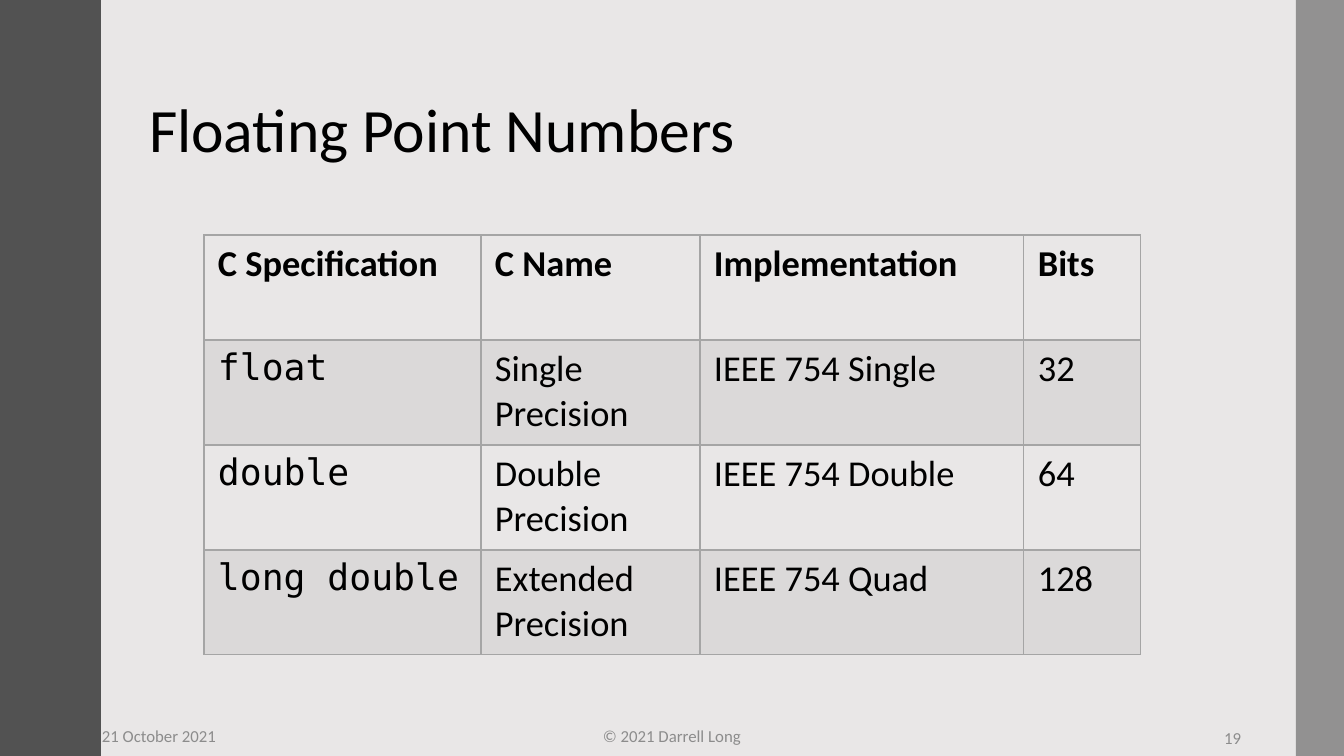
from lxml.etree import SubElement
from pptx import Presentation
from pptx.dml.color import RGBColor
from pptx.enum.shapes import MSO_SHAPE
from pptx.enum.text import MSO_ANCHOR, PP_ALIGN
from pptx.oxml import parse_xml
from pptx.oxml.ns import nsdecls, qn
from pptx.util import Emu, Pt

PAPER = RGBColor(0xE9, 0xE7, 0xE7)
INK = RGBColor(0x00, 0x00, 0x00)
DARK_BAND = RGBColor(0x52, 0x52, 0x52)
LIGHT_BAND = RGBColor(0x59, 0x59, 0x59)
RULE = RGBColor(0xA5, 0xA5, 0xA5)
FOOTER_GREY = RGBColor(0x8C, 0x8C, 0x8C)
BODY_FONT = "Calibri"
CODE_FONT = "DejaVu Sans Mono"

WIDTH, HEIGHT = 1344, 756
EMU_PER_PX = 914400 / 100.8


def px(length):
    return Emu(round(length * EMU_PER_PX))


def paint(fill, holder, color, opacity=100):
    """Fill with a colour; holder is the XML element that contains the fill."""
    fill.solid()
    fill.fore_color.rgb = color
    if opacity < 100:
        srgb = holder.find(qn("a:solidFill")).find(qn("a:srgbClr"))
        SubElement(srgb, qn("a:alpha"), val=str(opacity * 1000))


class LectureSlide:
    def __init__(self, slide):
        self.slide = slide
        slide.background.fill.solid()
        slide.background.fill.fore_color.rgb = PAPER

    def style(self, paragraph, size, color=INK, font=BODY_FONT, bold=False):
        paragraph.font.name = font
        paragraph.font.size = Pt(size)
        paragraph.font.color.rgb = color
        paragraph.font.bold = bold

    def title(self, text, left, top, width, height):
        heading = self.slide.shapes.title
        heading.left, heading.top = px(left), px(top)
        heading.width, heading.height = px(width), px(height)
        frame = heading.text_frame
        frame.text = text
        frame.vertical_anchor = MSO_ANCHOR.MIDDLE
        paragraph = frame.paragraphs[0]
        paragraph.alignment = PP_ALIGN.LEFT
        paragraph.line_spacing = 0.9
        self.style(paragraph, 44)

    def band(self, left, width, color, opacity=100):
        band = self.slide.shapes.add_shape(
            MSO_SHAPE.RECTANGLE, px(left), 0, px(width), px(HEIGHT))
        band.shadow.inherit = False
        band.line.fill.background()
        paint(band.fill, band.element.spPr, color, opacity)

    def footer(self, text, left, top, width, alignment):
        box = self.slide.shapes.add_textbox(px(left), px(top), px(width), px(40))
        frame = box.text_frame
        frame.word_wrap = True
        frame.vertical_anchor = MSO_ANCHOR.MIDDLE
        frame.text = text
        frame.paragraphs[0].alignment = alignment
        self.style(frame.paragraphs[0], 12, FOOTER_GREY)

    def borders(self, cell, top, bottom):
        properties = cell._tc.get_or_add_tcPr()
        edges = {"lnL": 1, "lnR": 1, "lnT": top, "lnB": bottom}
        for position, (edge, points) in enumerate(edges.items()):
            properties.insert(position, parse_xml(
                f'<a:{edge} {nsdecls("a")} w="{Pt(points)}"><a:solidFill>'
                f'<a:srgbClr val="{RULE}"/></a:solidFill></a:{edge}>'))

    def table(self, rows, left, top, column_widths, row_height):
        grid = self.slide.shapes.add_table(
            len(rows), len(column_widths), px(left), px(top),
            px(sum(column_widths)), px(row_height * len(rows))).table
        grid.first_row = grid.horz_banding = False
        for column, width in zip(grid.columns, column_widths):
            column.width = px(width)
        for r, row in enumerate(rows):
            grid.rows[r].height = px(row_height)
            for c, text in enumerate(row):
                cell = grid.cell(r, c)
                cell.margin_left = cell.margin_right = px(14)
                cell.margin_top = cell.margin_bottom = px(7)
                cell.text = text
                font = CODE_FONT if r > 0 and c == 0 else BODY_FONT
                self.style(cell.text_frame.paragraphs[0], 26, font=font, bold=r == 0)
                # Odd rows are shaded
                if r % 2:
                    paint(cell.fill, cell._tc.tcPr, RULE, 20)
                else:
                    cell.fill.background()
                # A heavier rule separates the header from the body
                self.borders(cell, top=2 if r == 1 else 1, bottom=2 if r == 0 else 1)


def main():
    deck = Presentation()
    deck.slide_width, deck.slide_height = px(WIDTH), px(HEIGHT)
    lecture = LectureSlide(deck.slides.add_slide(deck.slide_layouts[5]))

    # Title and side bands
    lecture.title("Floating Point Numbers", 139, 60, 1087, 146)
    lecture.band(0, 101, DARK_BAND)
    lecture.band(1296, 48, LIGHT_BAND, opacity=60)

    # Floating point types
    float_types = [
        ("C Specification", "C Name", "Implementation", "Bits"),
        ("float", "Single Precision", "IEEE 754 Single", "32"),
        ("double", "Double Precision", "IEEE 754 Double", "64"),
        ("long double", "Extended Precision", "IEEE 754 Quad", "128"),
    ]
    lecture.table(float_types, 204, 235, (277, 219, 324, 117), 105)

    # Footer
    lecture.footer("© 2021 Darrell Long", 445, 716, 454, PP_ALIGN.CENTER)
    lecture.footer("19", 949, 718, 302, PP_ALIGN.RIGHT)
    lecture.footer("21 October 2021", 92, 716, 302, PP_ALIGN.LEFT)

    deck.save("out.pptx")


if __name__ == "__main__":
    main()
